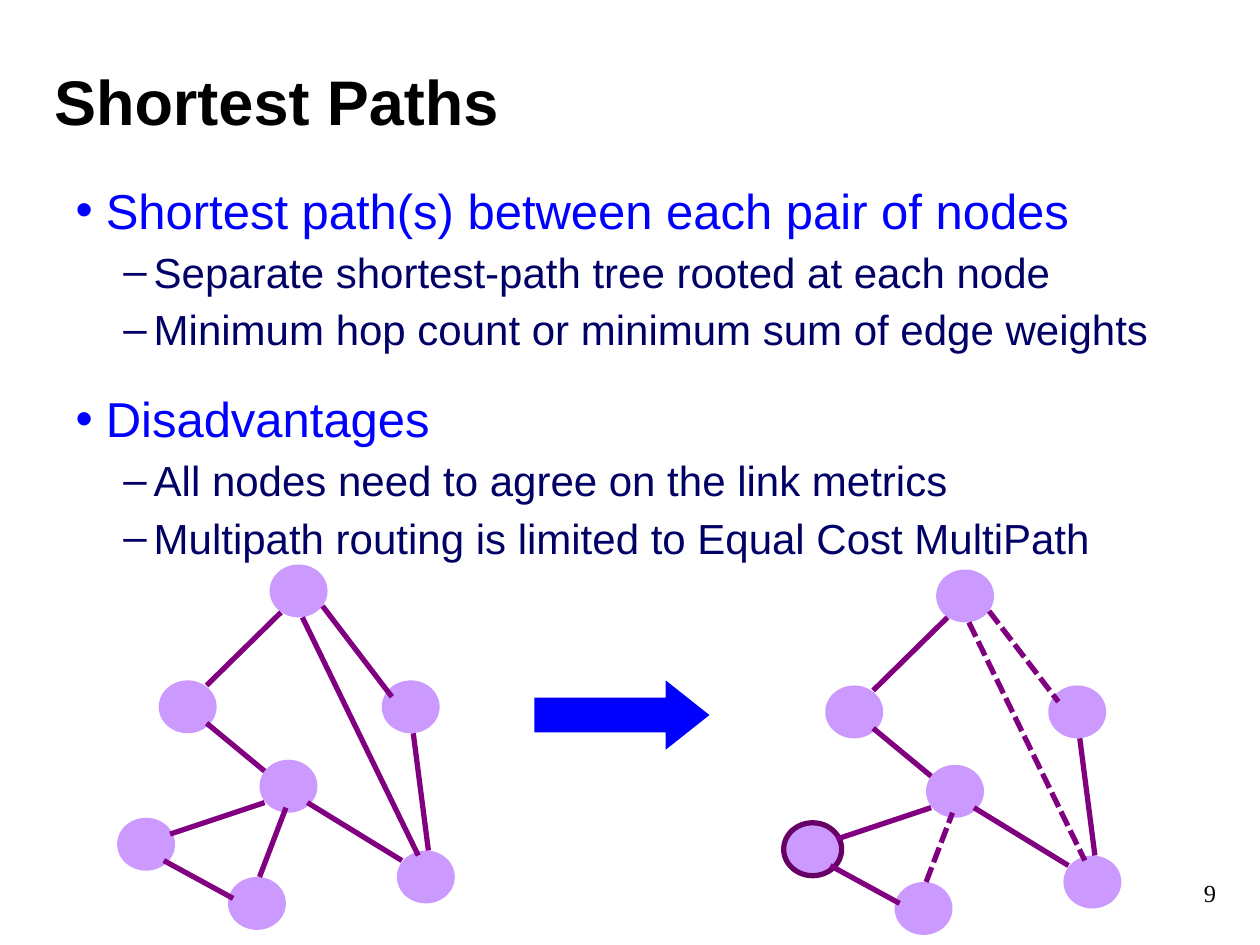
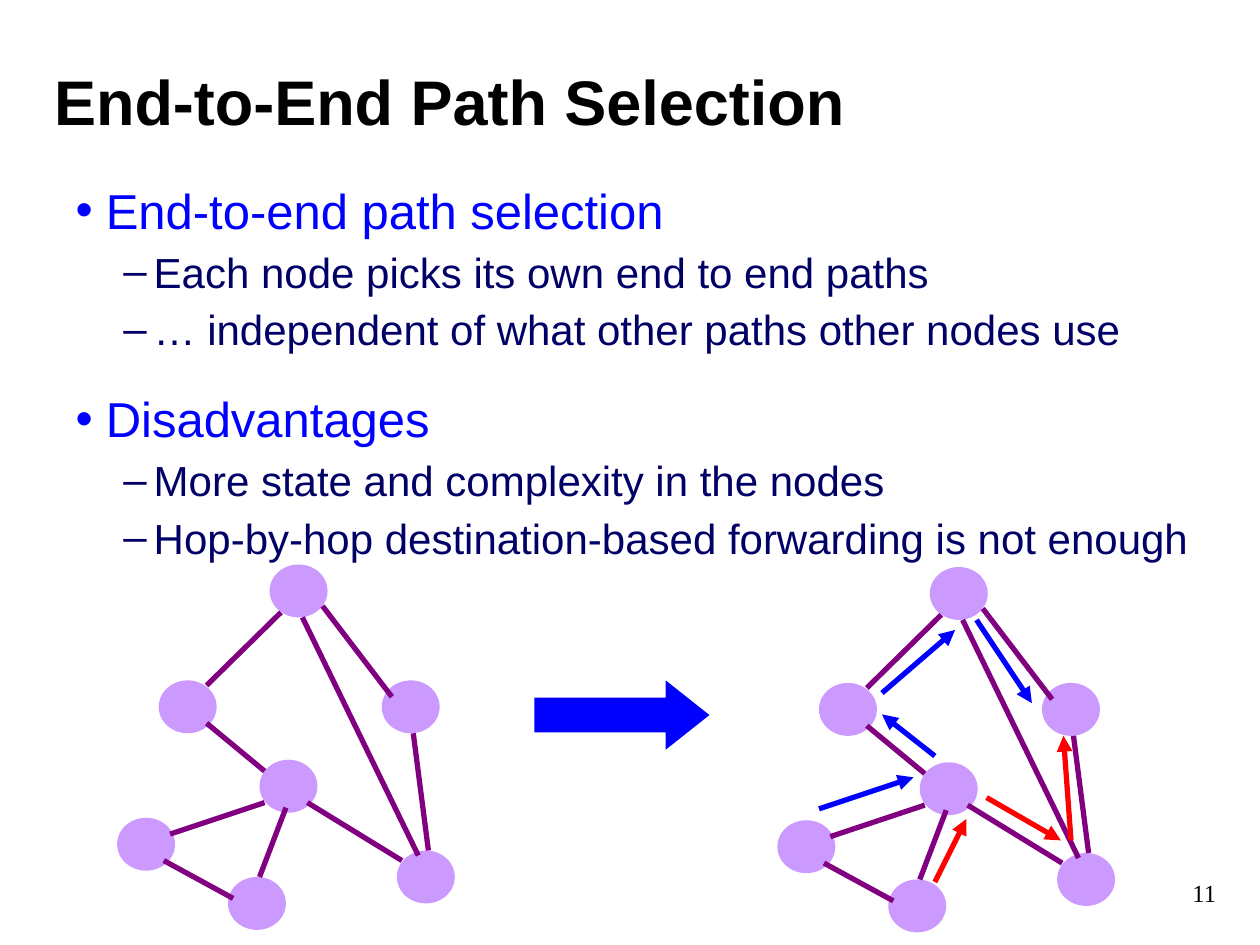
from lxml import etree
from pptx import Presentation
from pptx import util as u
from pptx.dml.color import RGBColor
from pptx.enum import dml, shapes, text
from pptx.oxml import ns

BLACK, BLUE, NAVY, RED = "000000", "0000FF", "000066", "FF0000"
LILAC, PURPLE, PLUM = "CC99FF", "800080", "660066"
SANS, SERIF = "Arial", "Times New Roman"

# Bullet sign, left margin, size, colour and space before, by list level
LEVELS = [("•", 0.24, 28, BLUE, 20), ("–", 0.62, 24, NAVY, 4)]
HANG = 0.24

NODE_W, NODE_H = 0.46, 0.42
NODES = [(2.14, 4.48), (1.26, 5.4), (3.03, 5.4), (2.06, 6.03),
         (3.15, 6.75), (0.93, 6.49), (1.81, 6.96)]
EDGES = [
    ((2.23, 4.86), (1.64, 5.44)),
    ((2.56, 4.81), (3.11, 5.53)),
    ((1.64, 5.74), (2.1, 6.12)),
    ((2.44, 6.37), (3.19, 6.83)),
    ((3.28, 5.82), (3.4, 6.75)),
    ((2.4, 4.9), (3.32, 6.79)),
    ((1.35, 6.62), (2.1, 6.37)),
    ((2.06, 6.96), (2.27, 6.41)),
    ((1.85, 7.13), (1.3, 6.83)),
]
ROOT = 5             # node at the root of the shortest-path tree
UNUSED = {1, 5, 7}   # edges outside that tree

ROUTES = [
    (BLUE, [((6.5, 6.42), (7.25, 6.17)), ((7.42, 6), (7, 5.67)),
            ((7, 5.5), (7.58, 5)), ((7.75, 4.92), (8.19, 5.58))]),
    (RED, [((7.42, 7), (7.67, 6.5)), ((7.83, 6.33), (8.42, 6.67)),
           ((8.5, 6.67), (8.44, 5.84))]),
]


def rgb(code):
    return RGBColor.from_string(code)


def add_tag(parent, name, **attrs):
    return etree.SubElement(parent, ns.qn(name), attrs)


def place(shape, left, top, width, height):
    shape.left, shape.top = u.Inches(left), u.Inches(top)
    shape.width, shape.height = u.Inches(width), u.Inches(height)


def write(para, words, size, color=BLACK, font=SANS, bold=False,
          align=text.PP_ALIGN.LEFT):
    para.alignment = align
    run = para.add_run()
    run.text = words
    run.font.size = u.Pt(size)
    run.font.name = font
    run.font.bold = bold
    run.font.color.rgb = rgb(color)


def add_title(slide, words):
    title = slide.shapes.title
    place(title, 0.33, 0.42, 8.82, 0.75)
    title.text_frame.vertical_anchor = text.MSO_ANCHOR.MIDDLE
    write(title.text_frame.paragraphs[0], words, 36, bold=True)


def add_list(slide, items):
    """Fill the body with (level, words) items."""
    body = slide.placeholders[1]
    place(body, 0.5, 1.33, 9.25, 6)
    frame = body.text_frame
    frame.margin_top = u.Inches(0.1)
    for i, (level, words) in enumerate(items):
        para = frame.add_paragraph() if i else frame.paragraphs[0]
        sign, margin, size, color, before = LEVELS[level]
        para.level = level
        para.space_before = u.Pt(before)
        props = para._p.get_or_add_pPr()
        props.set("marL", str(u.Inches(margin)))
        props.set("indent", str(-u.Inches(HANG)))
        add_tag(add_tag(props, "a:buClr"), "a:srgbClr", val=color)
        add_tag(props, "a:buFont", typeface=SANS)
        add_tag(props, "a:buChar", char=sign)
        write(para, words, size, color)


def add_number(slide, number):
    box = slide.shapes.add_textbox(0, 0, 0, 0)
    place(box, 8.75, 6.92, 1, 0.42)
    box.text_frame.word_wrap = True
    write(box.text_frame.paragraphs[0], str(number), 14, font=SERIF,
          align=text.PP_ALIGN.RIGHT)


def add_form(slide, kind, area, fill, ring=None):
    form = slide.shapes.add_shape(kind, *map(u.Inches, area))
    form.shadow.inherit = False
    form.fill.solid()
    form.fill.fore_color.rgb = rgb(fill)
    if ring:
        form.line.color.rgb = rgb(ring)
        form.line.width = u.Pt(3)
    else:
        form.line.fill.background()
    return form


def add_line(slide, start, end, color=PURPLE, dashed=False, arrow=False):
    line = slide.shapes.add_connector(
        shapes.MSO_CONNECTOR.STRAIGHT, *map(u.Inches, (*start, *end)))
    line.line.color.rgb = rgb(color)
    line.line.width = u.Pt(3)
    if dashed:
        line.line.dash_style = dml.MSO_LINE.SQUARE_DOT
    if arrow:
        add_tag(line.line._get_or_add_ln(), "a:tailEnd", type="triangle")
    add_tag(line._element.spPr, "a:effectLst")


def add_graph(slide, dx=0, dy=0, root=None, unused=()):
    """Draw the network moved by dx, dy, with a ringed root and dashed edges."""
    for i, (x, y) in enumerate(NODES):
        add_form(slide, shapes.MSO_SHAPE.OVAL,
                 (x + dx, y + dy, NODE_W, NODE_H), LILAC,
                 ring=PLUM if i == root else None)
    for i, edge in enumerate(EDGES):
        start, end = [(x + dx, y + dy) for x, y in edge]
        add_line(slide, start, end, dashed=i in unused)


def add_arrow(slide):
    arrow = add_form(slide, shapes.MSO_SHAPE.RIGHT_ARROW,
                     (4.24, 5.4, 1.39, 0.55), BLUE)
    arrow.adjustments[0] = 0.5
    arrow.adjustments[1] = 0.63


def add_page(deck, title, items, number):
    """Add a slide with its text, the starting network and the block arrow."""
    slide = deck.slides.add_slide(deck.slide_layouts[1])
    add_title(slide, title)
    add_list(slide, items)
    add_number(slide, number)
    add_graph(slide)
    add_arrow(slide)
    return slide


def main():
    deck = Presentation()
    deck.slide_width, deck.slide_height = u.Inches(10), u.Inches(7.5)

    short = add_page(deck, "Shortest Paths", [
        (0, "Shortest path(s) between each pair of nodes"),
        (1, "Separate shortest-path tree rooted at each node"),
        (1, "Minimum hop count or minimum sum of edge weights"),
        (0, "Disadvantages"),
        (1, "All nodes need to agree on the link metrics"),
        (1, "Multipath routing is limited to Equal Cost MultiPath"),
    ], 9)
    add_graph(short, 5.29, 0.04, ROOT, UNUSED)

    select = add_page(deck, "End-to-End Path Selection", [
        (0, "End-to-end path selection"),
        (1, "Each node picks its own end to end paths"),
        (1, "… independent of what other paths other nodes use"),
        (0, "Disadvantages"),
        (1, "More state and complexity in the nodes"),
        (1, "Hop-by-hop destination-based forwarding is not enough"),
    ], 11)
    add_graph(select, 5.24, 0.02)
    for color, hops in ROUTES:
        for start, end in hops:
            add_line(select, start, end, color, arrow=True)

    deck.save("out.pptx")


if __name__ == "__main__":
    main()
